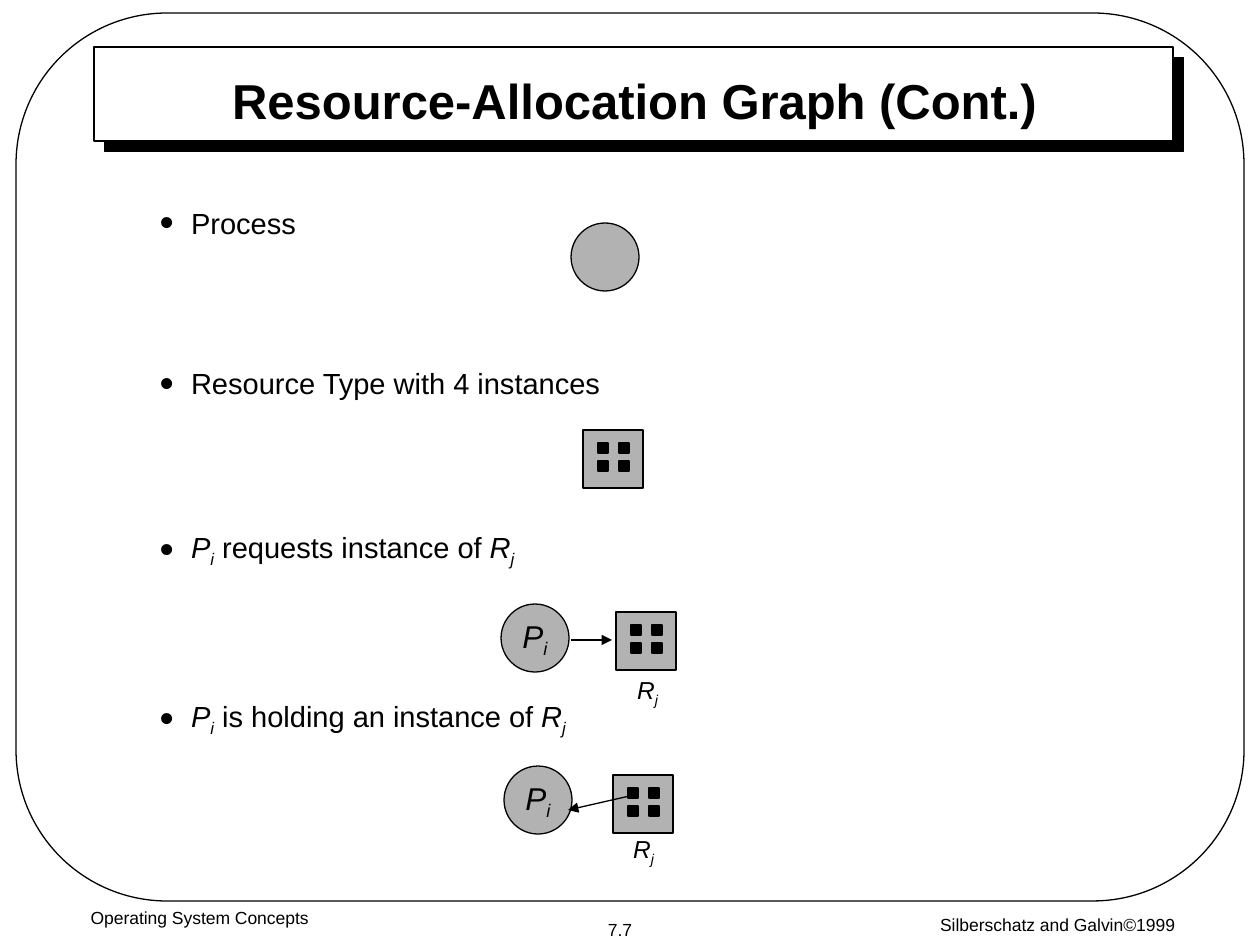
import pptx
import pptx.util
import pptx.dml.color
import pptx.enum.shapes
import pptx.enum.text
import pptx.oxml.ns
from lxml import etree

SCALE = 914400 / 126  # EMU per px
COLORS = {"ink": "000000", "paper": "FFFFFF", "node": "B2B2B2"}
FONT = "Arial"
SHAPE = pptx.enum.shapes.MSO_SHAPE
ALIGN = pptx.enum.text.PP_ALIGN
ANCHOR = pptx.enum.text.MSO_ANCHOR
qn = pptx.oxml.ns.qn
rgb = pptx.dml.color.RGBColor.from_string


def add_outline_shape(shapes, kind, box, fill=None):
    """Add a preset shape with a thin black line; box is in px."""
    shape = shapes.add_shape(kind, *[round(length * SCALE) for length in box])
    shape.shadow.inherit = False
    if fill:
        shape.fill.solid()
        shape.fill.fore_color.rgb = rgb(COLORS[fill])
    else:
        shape.fill.background()
    shape.line.color.rgb = rgb(COLORS["ink"])
    shape.line.width = pptx.util.Pt(0.75)
    return shape


def write_runs(paragraph, text, size):
    """Write text split at "|"; *word is italic, _word an italic subscript."""
    for part in text.split("|"):
        run = paragraph.add_run()
        run.text = part.lstrip("*_")
        run.font.name = FONT
        run.font.size = pptx.util.Pt(size)
        run.font.color.rgb = rgb(COLORS["ink"])
        run.font.italic = part[0] in "*_"
        if part[0] == "_":
            run.font._element.set("baseline", "-25000")


presentation = pptx.Presentation()
presentation.slide_width = pptx.util.Inches(10)
presentation.slide_height = pptx.util.Inches(7.5)
slide = presentation.slides.add_slide(presentation.slide_layouts[1])
title = slide.shapes.title
body = slide.placeholders[1]

# Frame and title box, behind the placeholders
title_box = add_outline_shape(slide.shapes, SHAPE.RECTANGLE, (94, 47, 1079, 94), "paper")
effects = title_box.element.spPr.find(qn("a:effectLst"))
shadow = etree.SubElement(effects, qn("a:outerShdw"), dist="107950", dir="2700000",
                          algn="ctr", rotWithShape="0")
etree.SubElement(shadow, qn("a:srgbClr"), val=COLORS["ink"])
frame = add_outline_shape(slide.shapes, SHAPE.ROUNDED_RECTANGLE, (16, 13, 1228, 888))
frame.adjustments[0] = 0.17
for backdrop in (title_box, frame):
    title.element.addprevious(backdrop.element)

# Title and list
for placeholder, box in ((title, (160, 68, 949, 63)), (body, (147, 199, 969, 567))):
    placeholder.left, placeholder.top, placeholder.width, placeholder.height = [
        round(length * SCALE) for length in box]
    placeholder.text_frame.auto_size = pptx.enum.text.MSO_AUTO_SIZE.NONE

title.text_frame.text = "Resource-Allocation Graph (Cont.)"
title.text_frame.vertical_anchor = ANCHOR.MIDDLE
title_paragraph = title.text_frame.paragraphs[0]
title_paragraph.alignment = ALIGN.CENTER
title_font = title_paragraph.runs[0].font
title_font.name, title_font.size, title_font.bold = FONT, pptx.util.Pt(28), True
title_font.color.rgb = rgb(COLORS["ink"])

items = [
    ("Process", 0),
    ("Resource Type with 4 instances", 72),
    ("*P|_i| requests instance of |*R|_j", 73.5),
    ("*P|_i| is holding an instance of |*R|_j", 74),
]
body.text_frame.vertical_anchor = ANCHOR.TOP
body.text_frame.margin_top = round(6 * SCALE)
for index, (text, space_before) in enumerate(items):
    paragraph = body.text_frame.add_paragraph() if index else body.text_frame.paragraphs[0]
    write_runs(paragraph, text, 16.6)
    paragraph.space_before = pptx.util.Pt(space_before)
    properties = paragraph._p.get_or_add_pPr()
    properties.set("marL", "228600")
    properties.set("indent", "-228600")
    bullet_color = etree.SubElement(properties, qn("a:buClr"))
    etree.SubElement(bullet_color, qn("a:srgbClr"), val=COLORS["ink"])
    etree.SubElement(properties, qn("a:buSzPct"), val="140000")
    etree.SubElement(properties, qn("a:buFont"), typeface=FONT)
    etree.SubElement(properties, qn("a:buChar"), char="•")

# Processes
for left, top, label in ((571, 223, ""), (501, 604, "*P|_i"), (504, 766, "*P|_i")):
    process = add_outline_shape(slide.shapes, SHAPE.OVAL, (left, top, 68, 68), "node")
    if label:
        process.text_frame.word_wrap = False
        process.text_frame.vertical_anchor = ANCHOR.MIDDLE
        process.text_frame.paragraphs[0].alignment = ALIGN.CENTER
        write_runs(process.text_frame.paragraphs[0], label, 18)

# Resource types, each with a 2 x 2 grid of instances
for left, top in ((583, 430), (616, 612), (613, 775)):
    resource = slide.shapes.add_group_shape()
    add_outline_shape(resource.shapes, SHAPE.RECTANGLE, (left, top, 60, 58), "node")
    for row in range(2):
        for column in range(2):
            instance_box = (left + 15 + 21 * column, top + 13 + 18 * row, 10, 10)
            add_outline_shape(resource.shapes, SHAPE.RECTANGLE, instance_box, "ink")

# Request edge and assignment edge
for ends in ((571, 640, 612, 640), (634, 795, 568, 810)):
    edge = slide.shapes.add_connector(pptx.enum.shapes.MSO_CONNECTOR.STRAIGHT,
                                      *[round(length * SCALE) for length in ends])
    edge.line.color.rgb = rgb(COLORS["ink"])
    edge.line.width = pptx.util.Pt(0.75)
    etree.SubElement(edge.line._get_or_add_ln(), qn("a:tailEnd"), type="triangle")
    etree.SubElement(edge.element.spPr, qn("a:effectLst"))

# Resource labels and footer; no side margins, so the short labels stay on one line
labels = [
    ("*R|_j", (625, 668, 45, 47), 14, ANCHOR.MIDDLE, False),
    ("*R|_j", (621, 827, 45, 47), 14, ANCHOR.MIDDLE, False),
    ("Operating System Concepts", (0, 901, 399, 44), 10, ANCHOR.TOP, True),
    ("7.7", (561, 912, 118, 34), 10, ANCHOR.MIDDLE, False),
    ("Silberschatz and Galvin©1999", (858, 908, 399, 37), 10, ANCHOR.TOP, True),
]
for text, box, size, anchor, wrap in labels:
    label_box = slide.shapes.add_textbox(*[round(length * SCALE) for length in box])
    label_box.text_frame.word_wrap = wrap
    label_box.text_frame.margin_left = label_box.text_frame.margin_right = 0
    label_box.text_frame.vertical_anchor = anchor
    label_box.text_frame.paragraphs[0].alignment = ALIGN.CENTER
    write_runs(label_box.text_frame.paragraphs[0], text, size)

presentation.save("out.pptx")
